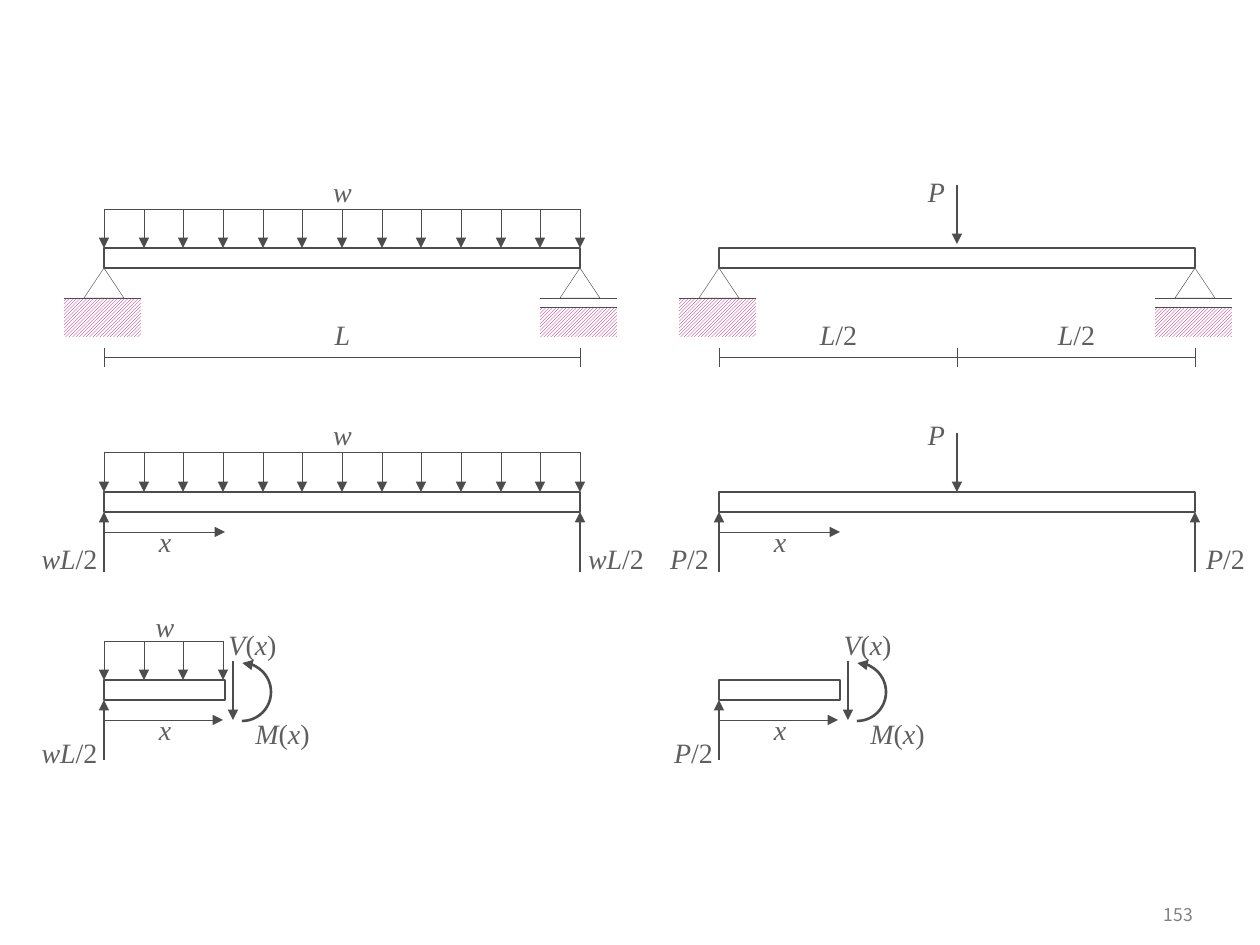
"""Draw two simply supported beams with their free bodies and cut sections."""
from itertools import groupby
from lxml import etree
from pptx import Presentation, util as u
from pptx.dml.color import RGBColor
from pptx.enum import dml, shapes, text
from pptx.oxml.ns import qn

PX = 914400 / 126
INK = {"line": "4D4D4D", "text": "5F5F5F", "hatch": "A90165", "paper": "FFFFFF", "page": "808080"}
HUE = {key: RGBColor.from_string(val) for key, val in INK.items()}
KIND = shapes.MSO_SHAPE
THIN, EDGE, BOLD = 0.25, 0.75, 1.5
LEFT, RIGHT, SHIFT = 104, 580, 615
SPAN = RIGHT - LEFT
MID = LEFT + SHIFT + SPAN // 2

deck = Presentation()
deck.slide_width, deck.slide_height = u.Inches(10), u.Inches(7.5)
slide = deck.slides.add_slide(deck.slide_layouts[6])
pool = slide.shapes


def line(x1, y1, x2, y2, width=THIN, arrow=False):
    ends = [round(v * PX) for v in (x1, y1, x2, y2)]
    item = pool.add_connector(shapes.MSO_CONNECTOR.STRAIGHT, *ends)
    item.line.color.rgb = HUE["line"]
    item.line.width = u.Pt(width)
    if arrow:
        etree.SubElement(item.line._get_or_add_ln(), qn("a:tailEnd"), type="triangle")
    etree.SubElement(item._element.spPr, qn("a:effectLst"))


def label(words, x, y, w, h=34, hue="text", align="CENTER", name="Times New Roman", size=16):
    frame = pool.add_textbox(*[round(v * PX) for v in (x, y, w, h)]).text_frame
    form = {"word_wrap": True, "margin_left": 0, "margin_right": 0, "margin_top": 0, "margin_bottom": 0}
    for key, val in form.items():
        setattr(frame, key, val)
    para = frame.paragraphs[0]
    para.alignment = text.PP_ALIGN[align]
    for slant, part in groupby(words, str.isalpha):
        run = para.add_run()
        run.text = "".join(part)
        run.font.color.rgb = HUE[hue]
        for key, val in {"name": name, "size": u.Pt(size), "italic": slant}.items():
            setattr(run.font, key, val)
    return frame


parts = [
    (KIND.RECTANGLE, "hatch", 64, 298, 77, 39),
    (KIND.RECTANGLE, "hatch", 540, 307, 77, 30),
    (KIND.ISOSCELES_TRIANGLE, THIN, 84, 268, 40, 30),
    (KIND.ISOSCELES_TRIANGLE, THIN, 560, 268, 40, 30),
    (KIND.RECTANGLE, EDGE, LEFT, 248, SPAN, 20),
    (KIND.RECTANGLE, EDGE, LEFT, 492, SPAN, 20),
    (KIND.RECTANGLE, EDGE, LEFT, 680, 121, 20),
    (KIND.ARC, BOLD, 213, 663, 58, 58),
]
strokes = [
    (64, 298, 141, 298), (540, 298, 617, 298), (540, 307, 617, 307),
    (LEFT, 357, RIGHT, 357), (LEFT, 348, LEFT, 367), (RIGHT, 348, RIGHT, 367),
    (LEFT, 532, 225, 532, THIN, True), (LEFT, 720, 223, 720, THIN, True),
    (LEFT, 572, LEFT, 512, BOLD, True), (RIGHT, 572, RIGHT, 512, BOLD, True),
    (LEFT, 760, LEFT, 700, BOLD, True), (233, 661, 233, 720, BOLD, True),
]
marks = [("x", 144, 525, 42, 36), ("x", 144, 713, 42, 36), ("M(x)", 253, 717, 59), ("V(x)", 223, 627, 59)]

for side in (0, SHIFT):
    for kind, style, x, y, w, h in parts:
        item = pool.add_shape(kind, *[round(v * PX) for v in (x + side, y, w, h)])
        item.shadow.inherit = False
        if style == "hatch":
            item.fill.patterned()
            item.fill.pattern = dml.MSO_PATTERN.LIGHT_UPWARD_DIAGONAL
            item.fill.fore_color.rgb = HUE["hatch"]
            item.fill.back_color.rgb = HUE["paper"]
            item.line.fill.background()
            continue
        item.fill.background()
        item.line.color.rgb = HUE["line"]
        item.line.width = u.Pt(style)
        if kind == KIND.ARC:
            item.adjustments[0], item.adjustments[1] = 161.73, 53.69
            item.rotation = 180
            item._element.spPr.find(qn("a:xfrm")).set("flipH", "1")
            etree.SubElement(item.line._get_or_add_ln(), qn("a:tailEnd"), type="triangle")
    for x1, y1, x2, y2, *style in strokes:
        line(x1 + side, y1, x2 + side, y2, *style)
    for words, x, *rest in marks:
        label(words, x + side, *rest)

for top, base, count in ((209, 248, 13), (452, 492, 13), (641, 680, 4)):
    spots = [LEFT + round(i * SPAN / 12) for i in range(count)]
    line(spots[-1], top, LEFT, top)
    for x in spots:
        line(x, top, x, base, THIN, True)

line(MID, 185, MID, 244, BOLD, True)
line(MID, 433, MID, 492, BOLD, True)
line(MID, 348, MID, 367)

for note in (
    ("w", 323, 175, 39), ("L", 323, 318, 39), ("w", 323, 418, 39), ("w", 144, 610, 42, 36),
    ("wL/2", 35, 542, 69), ("wL/2", 582, 542, 68), ("wL/2", 35, 736, 69),
    ("P", 917, 175, 39), ("L/2", 819, 318, 39), ("L/2", 1057, 318, 39), ("P", 917, 418, 39),
    ("P/2", 660, 542, 59), ("P/2", 1196, 542, 59), ("P/2", 669, 736, 49),
):
    label(*note)

page = label("153", 1116, 893, 77, 42, "page", "RIGHT", "Noto Sans CJK KR", 10)
page.vertical_anchor = text.MSO_ANCHOR.MIDDLE

deck.save("out.pptx")
